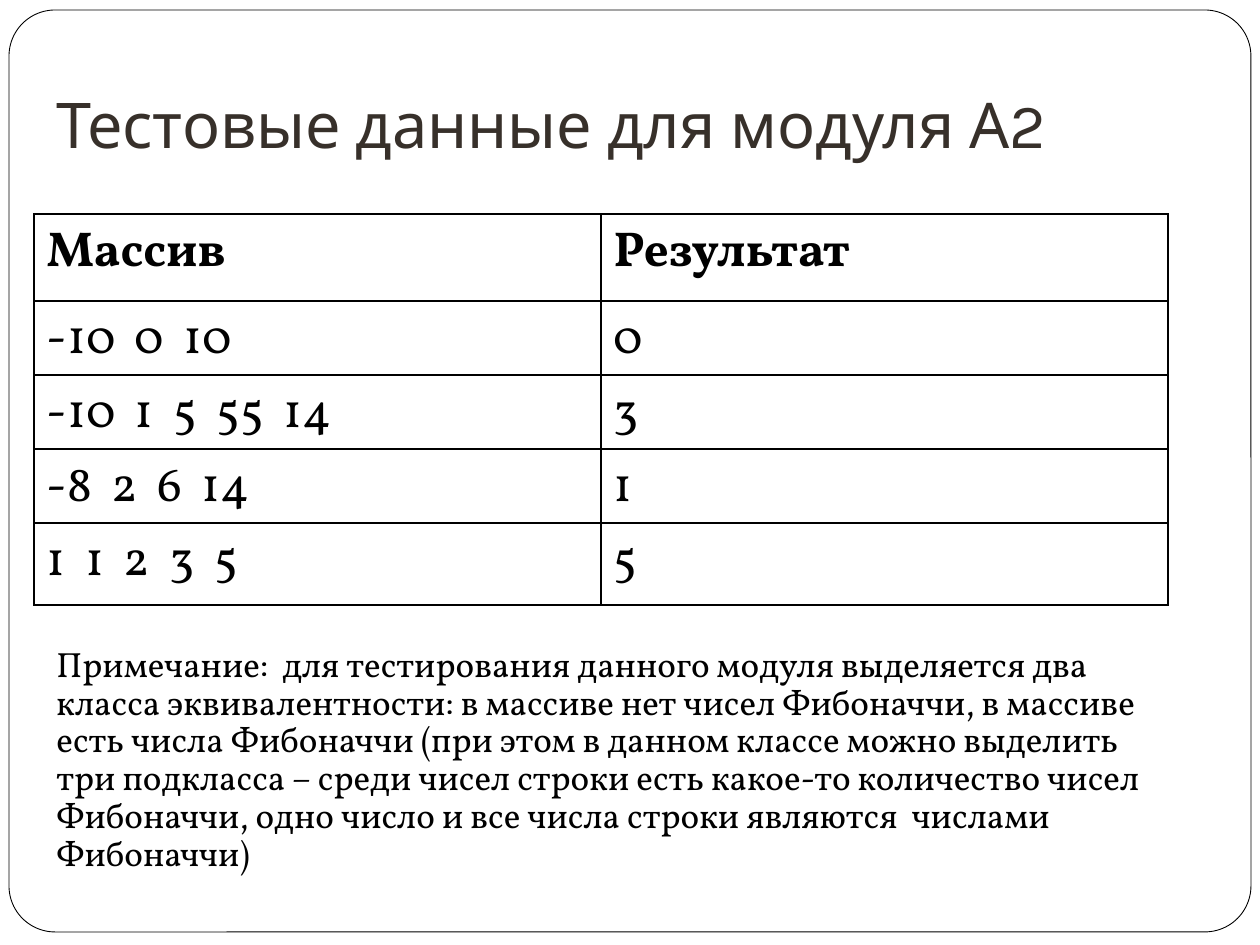
from lxml import etree
from pptx import Presentation
from pptx.dml.color import RGBColor
from pptx.enum.shapes import MSO_SHAPE
from pptx.enum.text import MSO_ANCHOR, PP_ALIGN
from pptx.oxml.ns import qn
from pptx.util import Pt

PX = 914400 // 126
ROUND = MSO_SHAPE.ROUNDED_RECTANGLE
BOTTOM = MSO_ANCHOR.BOTTOM
JUSTIFY = PP_ALIGN.JUSTIFY
COLORS = {"paper": "FFFFFF", "ink": "000000", "title": "37302A"}

TITLE = "Тестовые данные для модуля А2"
ROWS = [
    ("Массив", "Результат"),
    ("-10  0  10", "0"),
    ("-10  1  5  55  14", "3"),
    ("-8  2  6  14", "1"),
    ("1  1  2  3  5", "5"),
]
HEIGHTS = [87, 74, 74, 74, 82]
NOTE = (
    "Примечание:  для тестирования данного модуля выделяется два класса "
    "эквивалентности: в массиве нет чисел Фибоначчи, в массиве есть числа "
    "Фибоначчи (при этом в данном классе можно выделить три подкласса – среди "
    "чисел строки есть какое-то количество чисел Фибоначчи, одно число и все "
    "числа строки являются  числами Фибоначчи)"
)


def color(name):
    return RGBColor.from_string(COLORS[name])


def write(frame, text, face, size, ink="ink", bold=False):
    """Fill the frame with one styled paragraph and return it."""
    frame.word_wrap = True
    par = frame.paragraphs[0]
    par.text = text
    par.font.name = face
    par.font.size = Pt(size)
    par.font.bold = bold
    par.font.color.rgb = color(ink)
    return par


deck = Presentation()
deck.slide_width, deck.slide_height = 1260 * PX, 945 * PX
slide = deck.slides.add_slide(deck.slide_layouts[6])
shapes = slide.shapes

# Rounded frame
frame = shapes.add_shape(ROUND, 9 * PX, 10 * PX, 1242 * PX, 922 * PX)
frame.adjustments[0] = 0.05
frame.shadow.inherit = False
frame.fill.solid()
frame.fill.fore_color.rgb = color("paper")
frame.line.color.rgb = color("ink")
frame.line.width = Pt(0.5)

# Title
title = shapes.add_textbox(44 * PX, 45 * PX, 1101 * PX, 129 * PX).text_frame
title.vertical_anchor = BOTTOM
title.margin_bottom = 13 * PX
write(title, TITLE, "Karla", 36, "title")

# Test data
table = shapes.add_table(
    len(ROWS), 2, 34 * PX, 214 * PX, 1134 * PX, sum(HEIGHTS) * PX
).table
for col in table.columns:
    col.width = 567 * PX
for r, texts in enumerate(ROWS):
    table.rows[r].height = HEIGHTS[r] * PX
    for c, text in enumerate(texts):
        cell = table.cell(r, c)
        par = write(cell.text_frame, text, "Vollkorn", 28, bold=r == 0)
        par.alignment = JUSTIFY
        par.line_spacing = 0.9
        props = par._p.get_or_add_pPr()
        props.set("marL", str(48 * PX))
        props.set("indent", str(-48 * PX))
        props = cell._tc.get_or_add_tcPr()
        for side in "LRTB":
            edge = etree.SubElement(props, qn("a:ln" + side), w=str(Pt(1)))
            fill = etree.SubElement(edge, qn("a:solidFill"))
            etree.SubElement(fill, qn("a:srgbClr"), val=COLORS["ink"])
        cell.fill.solid()
        cell.fill.fore_color.rgb = color("paper")

# Note
note = shapes.add_textbox(44 * PX, 641 * PX, 1131 * PX, 242 * PX).text_frame
write(note, NOTE, "Vollkorn", 20).line_spacing = 0.9

deck.save("out.pptx")
